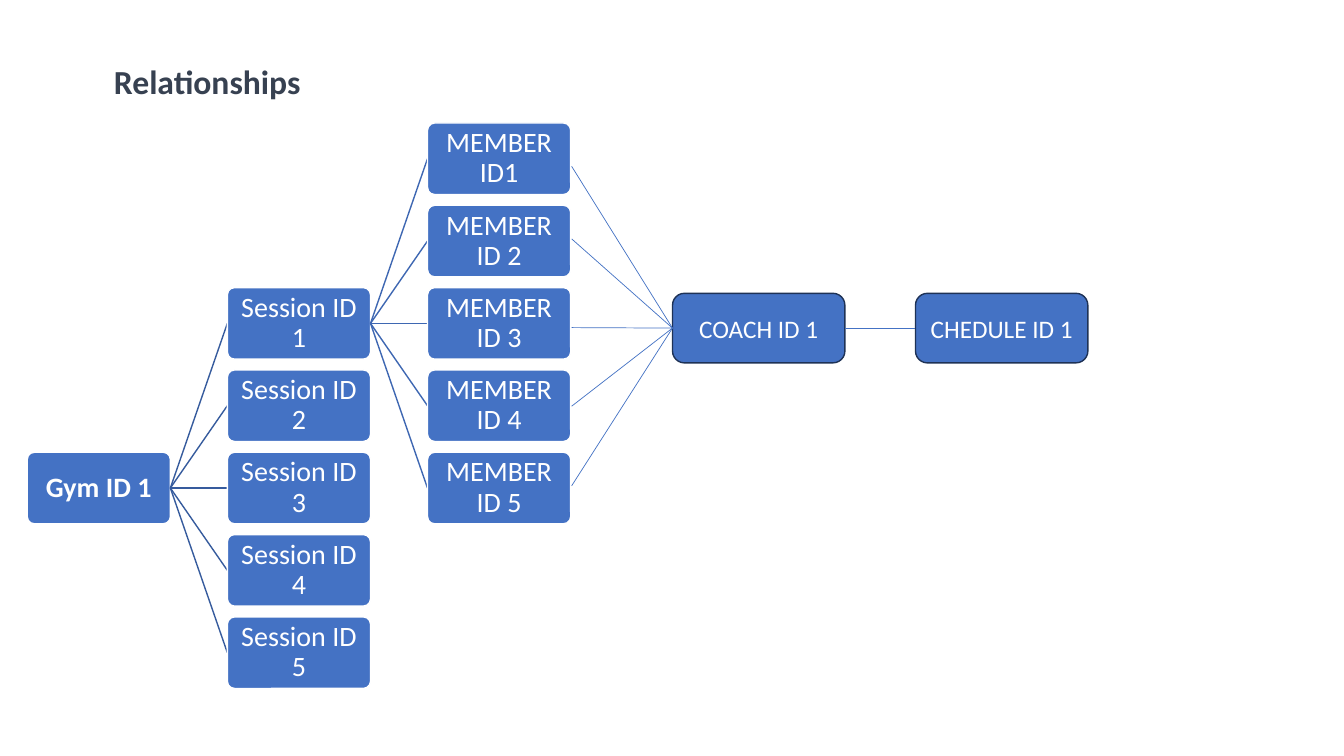
from lxml.etree import SubElement
from pptx import Presentation
from pptx.dml.color import RGBColor
from pptx.enum.shapes import MSO_CONNECTOR, MSO_SHAPE
from pptx.enum.text import MSO_ANCHOR, MSO_AUTO_SIZE, PP_ALIGN
from pptx.oxml.ns import qn
from pptx.util import Inches, Pt

BLUE, WHITE, NAVY = "4472C4", "FFFFFF", "1E3256"
GYM_LINK, SESSION_LINK = "365B9D", "3E67B2"
TREE_ROWS, TREE_COLS = 7, 3
NODE_W, NODE_H = 1.42, 0.71


def color(value):
    return RGBColor.from_string(value)


def write(sp, text, size=20, fill=WHITE, bold=False, align=PP_ALIGN.CENTER,
          anchor=MSO_ANCHOR.MIDDLE, inset=(0.1, 0.05), spacing=1.0, wrap=True):
    tf = sp.text_frame
    tf.word_wrap = wrap
    tf.vertical_anchor = anchor
    tf.margin_left = tf.margin_right = Inches(inset[0])
    tf.margin_top = tf.margin_bottom = Inches(inset[1])
    p = tf.paragraphs[0]
    p.alignment = align
    p.line_spacing = spacing
    p.space_before = Pt(0)
    r = p.add_run()
    r.text = text
    r.font.name = "Calibri"
    r.font.size = Pt(size)
    r.font.bold = bold
    r.font.color.rgb = color(fill)


def add_box(s, box, text, outline, corner, **fmt):
    sp = s.shapes.add_shape(MSO_SHAPE.ROUNDED_RECTANGLE, *map(Inches, box))
    sp.shadow.inherit = False
    sp.adjustments[0] = corner
    sp.fill.solid()
    sp.fill.fore_color.rgb = color(BLUE)
    sp.line.color.rgb = color(outline)
    sp.line.width = Pt(1)
    write(sp, text, **fmt)


def add_link(s, start, end, stroke, width):
    cx = s.shapes.add_connector(MSO_CONNECTOR.STRAIGHT, *map(Inches, (*start, *end)))
    cx.line.color.rgb = color(stroke)
    cx.line.width = Pt(width)
    SubElement(cx._element.spPr, qn("a:effectLst"))


def add_title(s, box):
    title = s.shapes.title
    title.left, title.top, title.width, title.height = map(Inches, box)
    write(title, "Relationships", size=24, fill="374151", bold=True,
          align=PP_ALIGN.LEFT, anchor=MSO_ANCHOR.TOP, wrap=False)
    title.text_frame.auto_size = MSO_AUTO_SIZE.SHAPE_TO_FIT_TEXT


def add_tree(s, box):
    x, y, w, h = box
    col_step = (w - NODE_W) / (TREE_COLS - 1)
    row_step = (h - NODE_H) / (TREE_ROWS - 1)

    def add_node(col, row, text, bold=False):
        add_box(s, (x + col * col_step, y + row * row_step, NODE_W, NODE_H),
                text, WHITE, 0.1, bold=bold, inset=(0.03, 0.03), spacing=0.9)

    def add_branch(col, parent_row, first_row, labels, stroke):
        left = x + (col - 1) * col_step + NODE_W
        middle = y + NODE_H / 2
        for row, label in enumerate(labels, first_row):
            add_link(s, (left, middle + parent_row * row_step),
                     (x + col * col_step, middle + row * row_step), stroke, 1)
            add_node(col, row, label)

    sessions = [f"Session ID {n}" for n in range(1, 6)]
    members = ["MEMBER ID1"] + [f"MEMBER ID {n}" for n in range(2, 6)]
    add_node(0, 4, "Gym ID 1", bold=True)
    add_branch(1, 4, 2, sessions, GYM_LINK)
    add_branch(2, 2, 0, members, SESSION_LINK)


def add_coach_chain(s, box, members_right, member_levels):
    x, y, w, h = box
    box_w = 1.71
    middle = y + h / 2
    schedule_x = x + w - box_w
    for left, label in ((x, "COACH ID 1"), (schedule_x, "CHEDULE ID 1")):
        add_box(s, (left, y, box_w, h), label, NAVY, 0.17, size=18)
    for level in member_levels:
        add_link(s, (members_right, level), (x, middle), BLUE, 0.5)
    add_link(s, (x + box_w, middle), (schedule_x, middle), BLUE, 0.5)


def main():
    prs = Presentation()
    prs.slide_width, prs.slide_height = Inches(13.33), Inches(7.5)
    s = prs.slides.add_slide(prs.slide_layouts[5])
    add_tree(s, (0.27, 1.22, 5.39, 5.61))
    add_title(s, (1.03, 0.55, 2.08, 0.5))
    add_coach_chain(s, (6.67, 2.91, 4.12, 0.69), 5.67, (1.65, 2.37, 3.25, 4.03, 4.82))
    prs.save("out.pptx")


if __name__ == "__main__":
    main()
